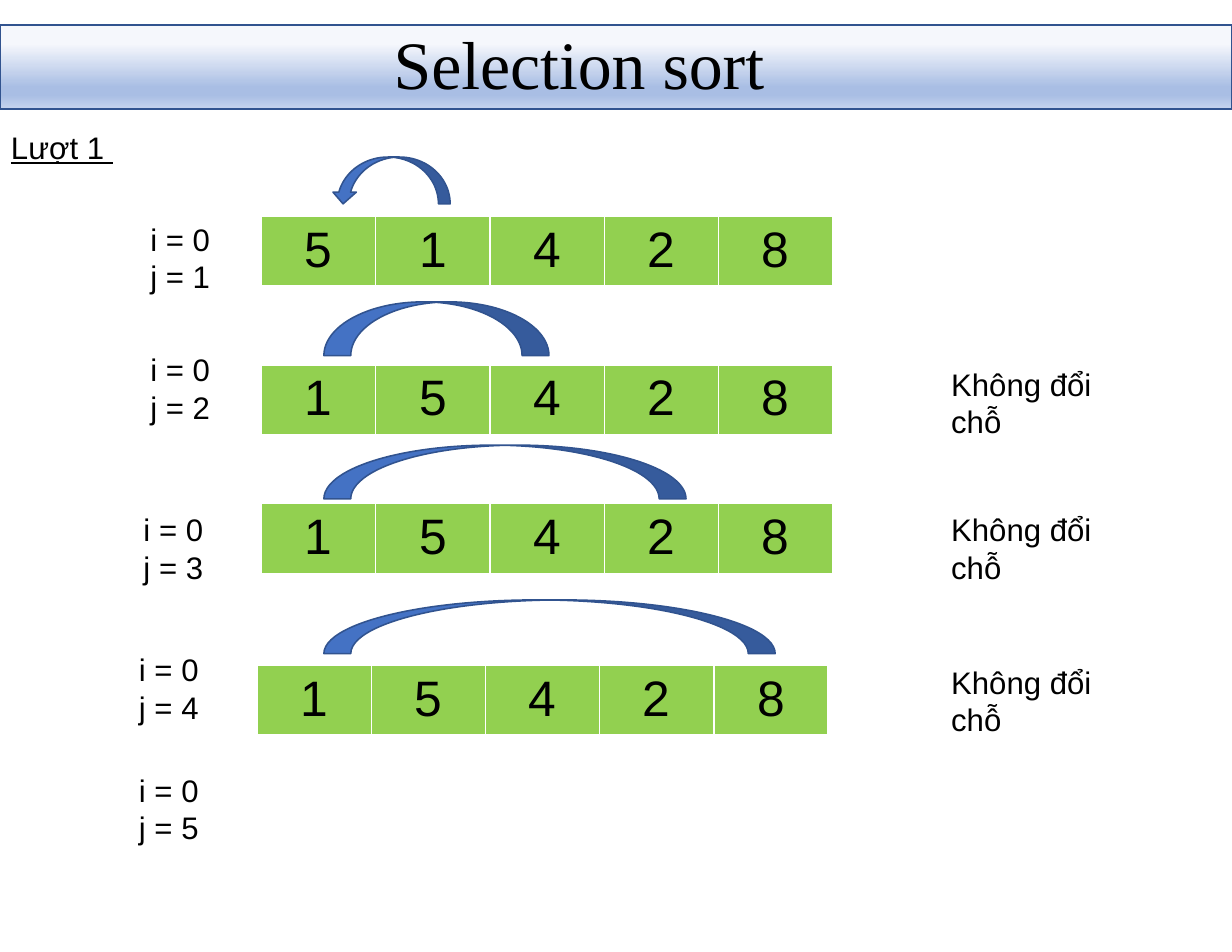
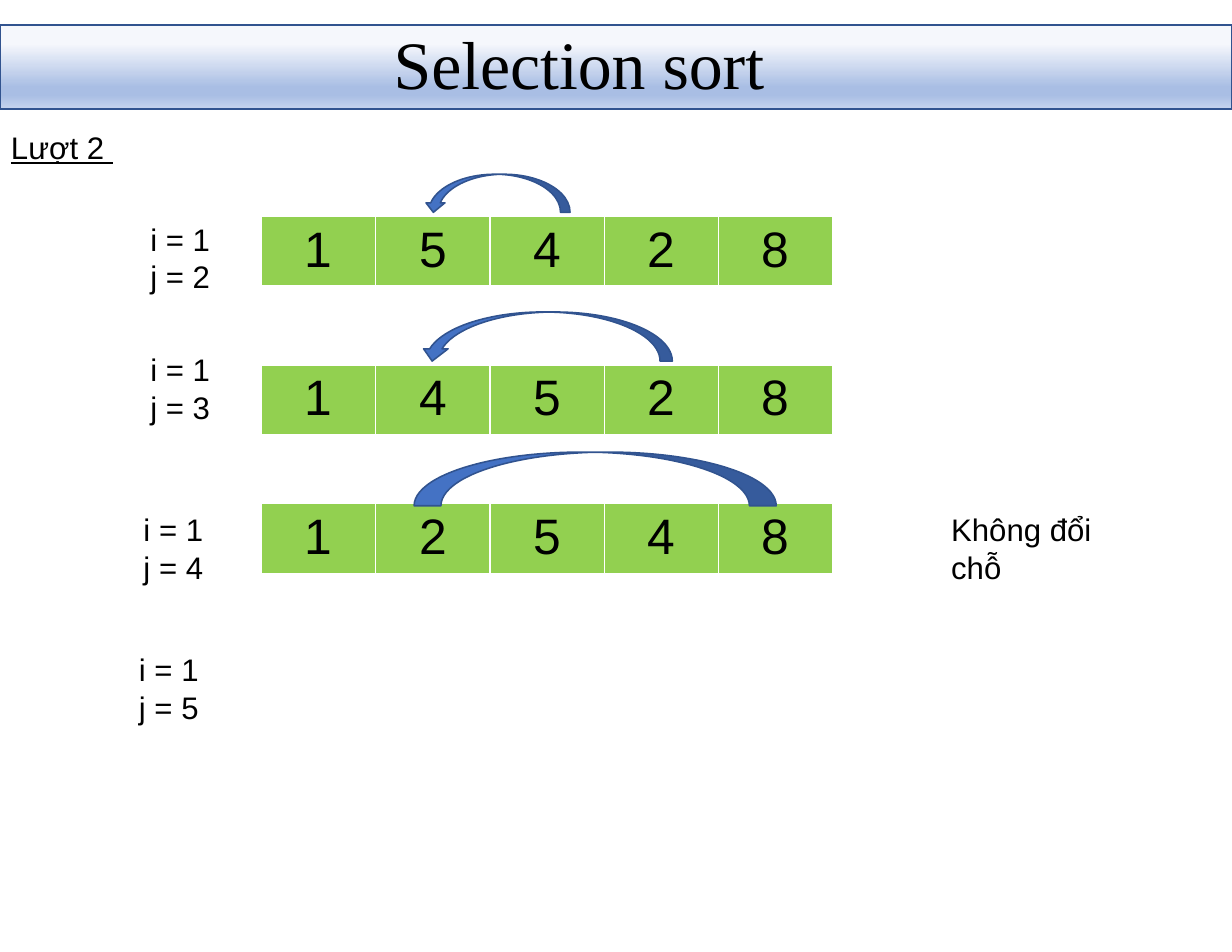
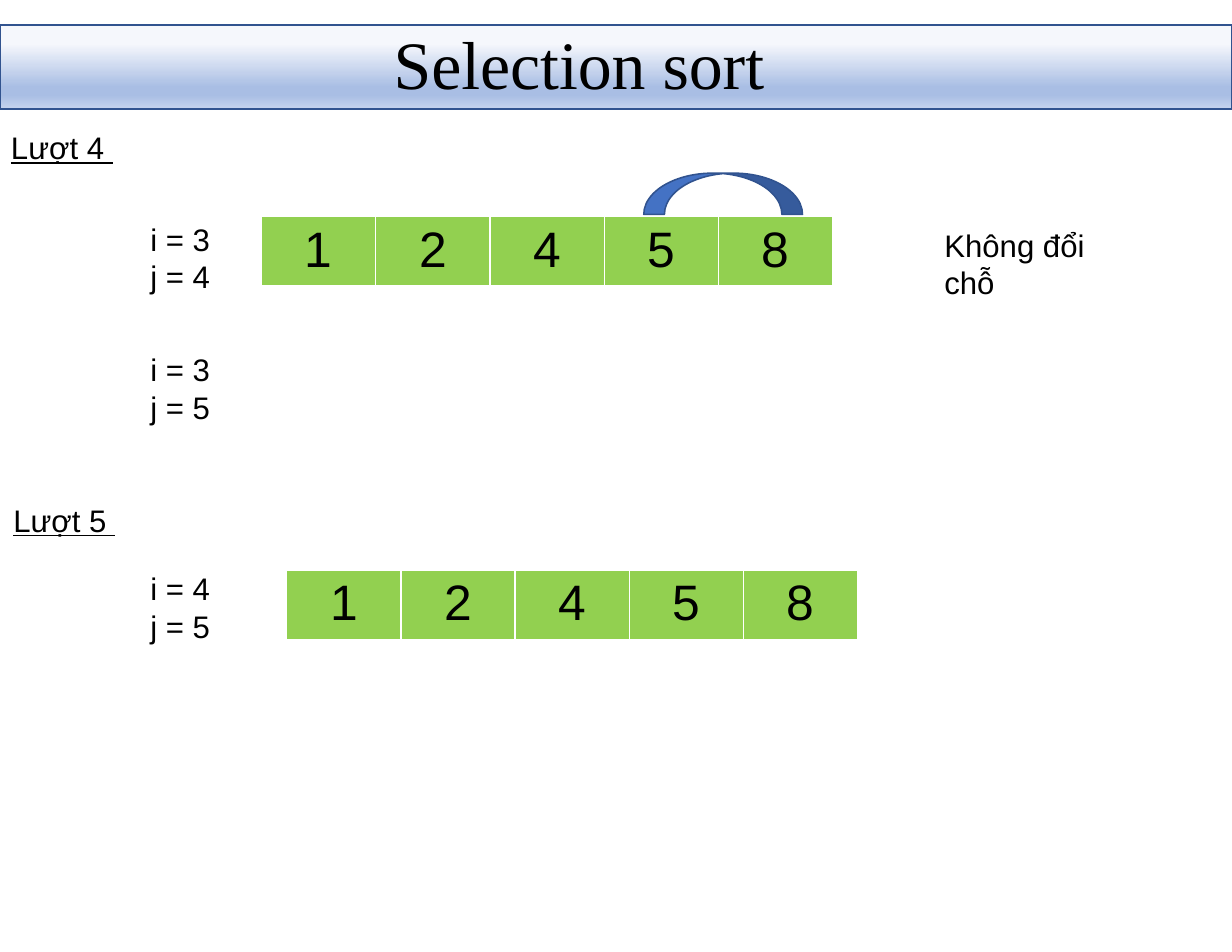
from lxml import etree
from pptx import Presentation
from pptx.dml.color import RGBColor
from pptx.enum.shapes import MSO_SHAPE
from pptx.enum.text import MSO_ANCHOR, MSO_AUTO_SIZE, PP_ALIGN
from pptx.oxml.ns import qn
from pptx.util import Inches, Pt

RECTANGLE, CURVED_ARROW = MSO_SHAPE.RECTANGLE, MSO_SHAPE.CURVED_RIGHT_ARROW
MIDDLE, CENTER = MSO_ANCHOR.MIDDLE, PP_ALIGN.CENTER
GROW, FIXED = MSO_AUTO_SIZE.SHAPE_TO_FIT_TEXT, MSO_AUTO_SIZE.NONE

SLIDE_W, SLIDE_H = 11, 8.5
COL, ROW = 1.02, 0.41  # one array cell, the unit of every position below
COLORS = {"text": "000000", "cell": "92D050", "gap": "FFFFFF",
          "arrow": "4472C4", "outline": "31538F"}
BAND_STOPS = {0: "F5F7FC", 22: "F5F7FC", 74: "A9BEE4", 83: "A9BEE4", 100: "C5D3ED"}
CELL_BORDERS = {"lnL": 1, "lnR": 1, "lnT": 1, "lnB": 3}
FORMATS = {
    "title": {"name": "Times New Roman", "size": Pt(43.6)},
    "heading": {"name": "Arial", "size": Pt(20), "underline": True},
    "body": {"name": "Arial", "size": Pt(20)},
    "cell": {"name": "Arial", "size": Pt(32), "bold": False},
}
LABEL_SIZE, HEADING_SIZE = (1.72, 1.88), (1.72, 1.07)
ARRAY_FRAME = (3.22, 8)
SWAP, KEEP = (0.25, 0.5, 0.25), (0.5, 0.5, 0)  # arrow adjustments
NO_SWAP = "Không đổi chỗ"

# Left and top of the counters, the array and the remark in each lane
LANES = {
    1: {"counters": (1.22, 4.68), "array": (2.29, 4.71), "remark": (8.17, 4.8)},
    2: {"counters": (1.22, 7.52), "array": (2.29, 7.95), "remark": (8.23, 7.83)},
    3: {"counters": (1.16, 11), "array": (2.29, 10.97), "remark": (8.23, 11)},
    4: {"counters": (1.12, 14.05), "array": (2.25, 14.49), "remark": (8.23, 14.32)},
    5: {"counters": (1.12, 16.67)},
    "final": {"counters": (1.22, 12.29), "array": (2.51, 12.41)},
}
# Step: lane, i, j, array, arrow kind, arrow (middle column, rows above array, span, rise)
SLIDES = [
    ({"Lượt 1 ": (0, 2.67)}, [
        (1, 0, 1, "51428", SWAP, (1.13, 0.78, 1.04, 1.02)),
        (2, 0, 2, "15428", KEEP, (1.53, 0.79, 1.97, 1.17)),
        (3, 0, 3, "15428", KEEP, (2.13, 0.69, 3.17, 1.17)),
        (4, 0, 4, "15428", KEEP, (2.52, 0.84, 3.95, 1.17)),
        (5, 0, 5, "", None, None),
    ]),
    ({"Lượt 2 ": (0, 2.67)}, [
        (1, 1, 2, "15428", SWAP, (2.06, 0.5, 1.28, 0.83)),
        (2, 1, 3, "14528", SWAP, (2.49, 0.62, 2.21, 1.07)),
        (3, 1, 4, "12548", KEEP, (2.92, 0.54, 3.17, 1.17)),
        (4, 1, 5, "", None, None),
    ]),
    ({"Lượt 4 ": (0, 2.67), "Lượt 5 ": (0.02, 10.79)}, [
        (1, 3, 4, "12458", KEEP, (4.04, 0.49, 1.39, 0.9)),
        (2, 3, 5, "", None, None),
        ("final", 4, 5, "12458", None, None),
    ]),
]


def write(frame, lines, style):
    """Fill a text frame with one paragraph per line in a named format."""
    frame.text = "\n".join(lines)
    for paragraph in frame.paragraphs:
        for key, value in FORMATS[style].items():
            setattr(paragraph.font, key, value)
        paragraph.font.color.rgb = RGBColor.from_string(COLORS["text"])


def add_text(slide, corner, size, lines, style, auto_size=GROW):
    (x, y), (w, h) = corner, size
    box = slide.shapes.add_textbox(Inches(x * COL), Inches(y * ROW),
                                   Inches(w * COL), Inches(h * ROW))
    box.text_frame.word_wrap = True
    box.text_frame.auto_size = auto_size
    write(box.text_frame, lines, style)
    return box.text_frame


prs = Presentation()
prs.slide_width, prs.slide_height = Inches(SLIDE_W), Inches(SLIDE_H)

for headings, steps in SLIDES:
    slide = prs.slides.add_slide(prs.slide_layouts[6])

    band = slide.shapes.add_shape(RECTANGLE, 0, Inches(0.55 * ROW),
                                  prs.slide_width, Inches(1.83 * ROW))
    band.shadow.inherit = False
    band.fill.gradient()
    band.fill.gradient_angle = 270
    stops = band._element.spPr.find(".//" + qn("a:gsLst"))
    for stop in list(stops):
        stops.remove(stop)
    for percent, color in BAND_STOPS.items():
        stop = etree.SubElement(stops, qn("a:gs"), pos=str(percent * 1000))
        etree.SubElement(stop, qn("a:srgbClr"), val=color)
    band.line.color.rgb = RGBColor.from_string(COLORS["outline"])
    band.line.width = Pt(1)

    title = add_text(slide, (3.35, 0.27), (3.51, 2.39), ["Selection sort"], "title", FIXED)
    title.vertical_anchor = MIDDLE
    title.paragraphs[0].line_spacing = 0.9

    for heading, corner in headings.items():
        add_text(slide, corner, HEADING_SIZE, [heading], "heading")

    for lane, i, j, values, arrow_kind, arc in steps:
        places = LANES[lane]
        add_text(slide, places["counters"], LABEL_SIZE, [f"i = {i}", f"j = {j}"], "body")

        if values:
            left, top = places["array"]
            holder = slide.shapes.add_table(
                1, len(values), Inches(left * COL), Inches(top * ROW),
                Inches(len(values) * COL), Inches(ROW))
            array = holder.table
            array.first_row = array.horz_banding = False
            for cell, value in zip(array.iter_cells(), values):
                write(cell.text_frame, [value], "cell")
                cell.text_frame.paragraphs[0].alignment = CENTER
                properties = cell._tc.get_or_add_tcPr()
                for side, points in CELL_BORDERS.items():
                    border = etree.SubElement(properties, qn(f"a:{side}"), w=str(Pt(points)))
                    paint = etree.SubElement(border, qn("a:solidFill"))
                    etree.SubElement(paint, qn("a:srgbClr"), val=COLORS["gap"])
                cell.fill.solid()
                cell.fill.fore_color.rgb = RGBColor.from_string(COLORS["cell"])
            # The cells keep their own size inside the square frame
            holder.width = Inches(ARRAY_FRAME[0] * COL)
            holder.height = Inches(ARRAY_FRAME[1] * ROW)

        if arc:
            middle, lift, span, rise = arc
            center_x, center_y = (LANES[1]["array"][0] + middle) * COL, (top - lift) * ROW
            # The arrow is turned upright, so its rise is the unrotated width
            width, height = rise * ROW, span * COL
            arrow = slide.shapes.add_shape(
                CURVED_ARROW, Inches(center_x - width / 2), Inches(center_y - height / 2),
                Inches(width), Inches(height))
            arrow.rotation = 90
            for index, share in enumerate(arrow_kind):
                arrow.adjustments[index] = share
            arrow.shadow.inherit = False
            arrow.fill.solid()
            arrow.fill.fore_color.rgb = RGBColor.from_string(COLORS["arrow"])
            arrow.line.color.rgb = RGBColor.from_string(COLORS["outline"])
            arrow.line.width = Pt(1)

        if arrow_kind == KEEP:
            add_text(slide, places["remark"], LABEL_SIZE, [NO_SWAP], "body")

prs.save("out.pptx")
